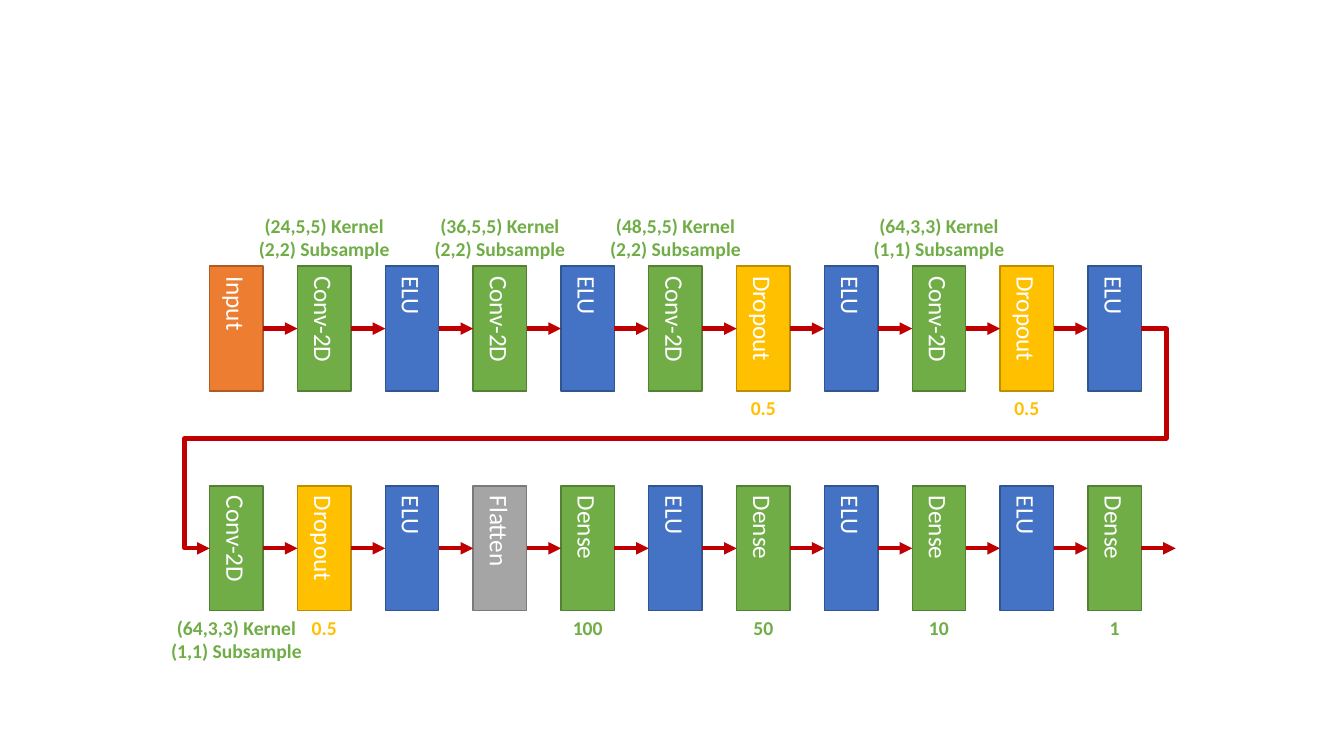
import pptx
import pptx.util
import pptx.dml.color
import pptx.enum.shapes
import pptx.enum.text
import pptx.oxml
import pptx.oxml.ns

WIDTH, HEIGHT = 13.33, 7.5
LEFT, PITCH = 2.08, 0.871
BOX_WIDTH, BOX_HEIGHT = 0.53, 1.24
ROW_TOPS = (2.64, 4.82)
LEFT_SITE, RIGHT_SITE = 1, 3
RED, GREEN, YELLOW = "C00000", "70AD47", "FFC000"
STYLES = {
    "Input": ("ED7D31", "AF5C24"),
    "Conv-2D": (GREEN, "538035"),
    "Dense": (GREEN, "538035"),
    "ELU": ("4472C4", "325491"),
    "Dropout": (YELLOW, "BD8E00"),
    "Flatten": ("A5A5A5", "7A7A7A"),
}
KERNEL = "({},{},{}) Kernel\n({},{}) Subsample"
LAYER_ROWS = (
    ("Input", "Conv-2D", "ELU", "Conv-2D", "ELU", "Conv-2D",
     "Dropout", "ELU", "Conv-2D", "Dropout", "ELU"),
    ("Conv-2D", "Dropout", "ELU", "Flatten", "Dense", "ELU",
     "Dense", "ELU", "Dense", "ELU", "Dense"),
)
CAPTIONS = (
    (0, 1, "above", KERNEL.format(24, 5, 5, 2, 2), GREEN),
    (0, 3, "above", KERNEL.format(36, 5, 5, 2, 2), GREEN),
    (0, 5, "above", KERNEL.format(48, 5, 5, 2, 2), GREEN),
    (0, 6, "below", "0.5", YELLOW),
    (0, 8, "above", KERNEL.format(64, 3, 3, 1, 1), GREEN),
    (0, 9, "below", "0.5", YELLOW),
    (1, 0, "below", KERNEL.format(64, 3, 3, 1, 1), GREEN),
    (1, 1, "below", "0.5", YELLOW),
    (1, 4, "below", "100", GREEN),
    (1, 6, "below", "50", GREEN),
    (1, 8, "below", "10", GREEN),
    (1, 10, "below", "1", GREEN),
)
CAPTION_WIDTHS = {1: 0.3, 2: 0.4, 3: 0.5}


def inches(*lengths):
    """Convert lengths in inches to slide units."""
    return [pptx.util.Inches(length) for length in lengths]


def color(code):
    """Turn a hex string into a colour."""
    return pptx.dml.color.RGBColor.from_string(code)


def column_left(column):
    """Give the left edge of a grid column."""
    return LEFT + column * PITCH


def write(frame, text, size, code, bold=False):
    """Fill a text frame with centred lines of one format."""
    frame.text = text
    font_format = {"name": "Calibri", "size": pptx.util.Pt(size), "bold": bold}
    for para in frame.paragraphs:
        para.alignment = pptx.enum.text.PP_ALIGN.CENTER
        for span in para.runs:
            for name, value in font_format.items():
                setattr(span.font, name, value)
            span.font.color.rgb = color(code)


def add_layer(page, row, column, name):
    """Draw one network layer with its name running downwards."""
    box = page.shapes.add_shape(
        pptx.enum.shapes.MSO_SHAPE.RECTANGLE,
        *inches(column_left(column), ROW_TOPS[row], BOX_WIDTH, BOX_HEIGHT))
    fill, line = STYLES[name]
    box.shadow.inherit = False
    box.fill.solid()
    box.fill.fore_color.rgb = color(fill)
    box.line.color.rgb = color(line)
    box.line.width = pptx.util.Pt(1)
    frame = box.text_frame
    frame.vertical_anchor = pptx.enum.text.MSO_ANCHOR.MIDDLE
    frame._txBody.bodyPr.set("vert", "eaVert")
    write(frame, name, 18, "FFFFFF")
    return box


def add_caption(page, row, column, side, text, code):
    """Centre a bold caption above or below a layer."""
    is_kernel = "\n" in text
    width = 1.51 if is_kernel else 0.45 if "." in text else CAPTION_WIDTHS[len(text)]
    height = 0.57 if is_kernel else 0.34
    left = column_left(column) + (BOX_WIDTH - width) / 2
    top = ROW_TOPS[row] + (-height if side == "above" else BOX_HEIGHT)
    frame = page.shapes.add_textbox(*inches(left, top, width, height)).text_frame
    frame.word_wrap = False
    frame.auto_size = pptx.enum.text.MSO_AUTO_SIZE.SHAPE_TO_FIT_TEXT
    write(frame, text, 14, code, bold=True)


def add_arrow(page, source, target=None, kind="STRAIGHT"):
    """Lead an arrow from a layer to the next one, or out of the row."""
    middle = source.top + source.height // 2
    start = source.left + source.width
    arrow = page.shapes.add_connector(
        getattr(pptx.enum.shapes.MSO_CONNECTOR, kind),
        start, middle, start + pptx.util.Inches(PITCH - BOX_WIDTH), middle)
    arrow.begin_connect(source, RIGHT_SITE)
    if target is not None:
        arrow.end_connect(target, LEFT_SITE)
    arrow.line.color.rgb = color(RED)
    arrow.line.width = pptx.util.Pt(3)
    tail = pptx.oxml.parse_xml(
        f'<a:tailEnd {pptx.oxml.ns.nsdecls("a")} type="triangle"/>')
    arrow.line._get_or_add_ln().append(tail)
    effects = pptx.oxml.parse_xml(f'<a:effectLst {pptx.oxml.ns.nsdecls("a")}/>')
    arrow._element.spPr.append(effects)
    return arrow


def add_row_turn(page, source, target):
    """Wrap an arrow from the end of one row to the start of the next."""
    arrow = add_arrow(page, source, target, "ELBOW")
    geometry = arrow._element.spPr.find(pptx.oxml.ns.qn("a:prstGeom"))
    geometry.set("prst", "bentConnector5")
    guides = geometry.get_or_add_avLst()
    for number, share in enumerate((-2700, 50000, 102700), start=1):
        guides.append(pptx.oxml.parse_xml(
            f'<a:gd {pptx.oxml.ns.nsdecls("a")} name="adj{number}" fmla="val {share}"/>'))


def main():
    """Build the network diagram and save it."""
    deck = pptx.Presentation()
    deck.slide_width, deck.slide_height = inches(WIDTH, HEIGHT)
    page = deck.slides.add_slide(deck.slide_layouts[6])
    rows = [[add_layer(page, row, column, name) for column, name in enumerate(names)]
            for row, names in enumerate(LAYER_ROWS)]
    for caption in CAPTIONS:
        add_caption(page, *caption)
    for layers in rows:
        for source, target in zip(layers, layers[1:]):
            add_arrow(page, source, target)
    add_arrow(page, rows[1][-1])
    add_row_turn(page, rows[0][-1], rows[1][0])
    deck.save("out.pptx")


if __name__ == "__main__":
    main()
